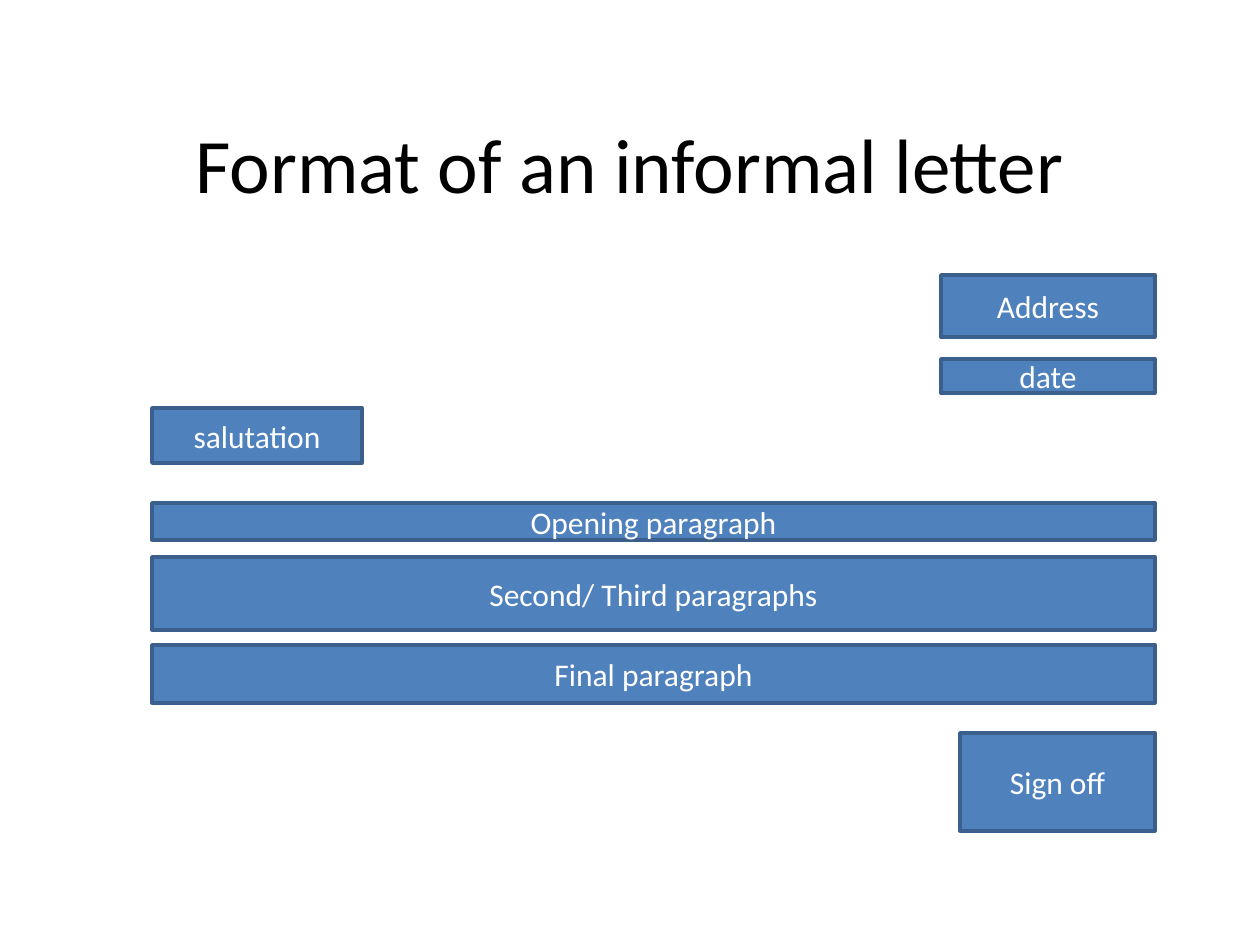
from pptx import Presentation
from pptx import util as u
from pptx.dml.color import RGBColor
from pptx.enum import shapes, text

PX = 914400 / 126  # EMU in one px
SLIDE_W, SLIDE_H = 1260, 945

BLACK = RGBColor(0x00, 0x00, 0x00)
WHITE = RGBColor(0xFF, 0xFF, 0xFF)
BLUE = RGBColor(0x4F, 0x81, 0xBD)
DARK_BLUE = RGBColor(0x3A, 0x5F, 0x8C)

# Letter parts: wording, side, width (None = full), top within the letter, height
LETTER_PARTS = [
    ("Address", "right", 214, 0, 62),
    ("date", "right", 214, 84, 34),
    ("salutation", "left", 210, 133, 55),
    ("Opening paragraph", "left", None, 228, 37),
    ("Second/ Third paragraphs", "left", None, 282, 73),
    ("Final paragraph", "left", None, 370, 58),
    ("Sign off", "right", 195, 458, 98),
]


def emu(*lengths):
    return [u.Emu(round(length * PX)) for length in lengths]


def write(frame, wording, size, color, font="Calibri"):
    frame.word_wrap = True
    frame.vertical_anchor = text.MSO_ANCHOR.MIDDLE
    paragraph = frame.paragraphs[0]
    paragraph.alignment = text.PP_ALIGN.CENTER
    run = paragraph.add_run()
    run.text = wording
    run.font.name = font
    run.font.size = u.Pt(size)
    run.font.color.rgb = color


def add_title(slide, left, top, width, height):
    title = slide.shapes.add_textbox(*emu(left, top, width, height))
    write(title.text_frame, "Format of an informal letter", size=44, color=BLACK)


def add_letter(slide, left, top, width):
    for wording, side, part_width, offset, height in LETTER_PARTS:
        part_width = part_width or width
        part_left = left + (width - part_width if side == "right" else 0)
        part = slide.shapes.add_shape(
            shapes.MSO_SHAPE.RECTANGLE,
            *emu(part_left, top + offset, part_width, height))
        part.shadow.inherit = False
        part.fill.solid()
        part.fill.fore_color.rgb = BLUE
        part.line.color.rgb = DARK_BLUE
        part.line.width = u.Pt(2)
        write(part.text_frame, wording, size=18, color=WHITE)


def main():
    deck = Presentation()
    deck.slide_width, deck.slide_height = emu(SLIDE_W, SLIDE_H)
    slide = deck.slides.add_slide(deck.slide_layouts[6])

    # Heading
    add_title(slide, 63, 84, 1134, 158)
    # Layout of the letter
    add_letter(slide, 152, 275, 1003)

    deck.save("out.pptx")


if __name__ == "__main__":
    main()
